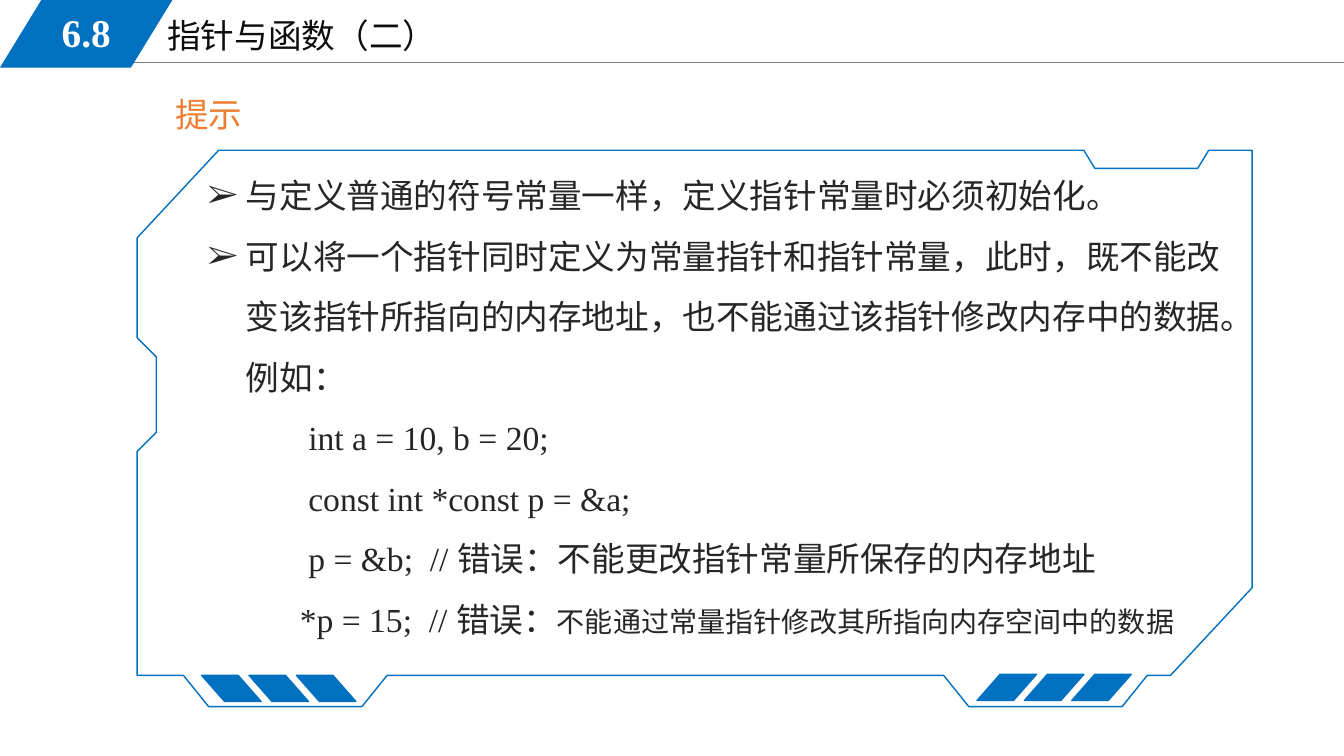
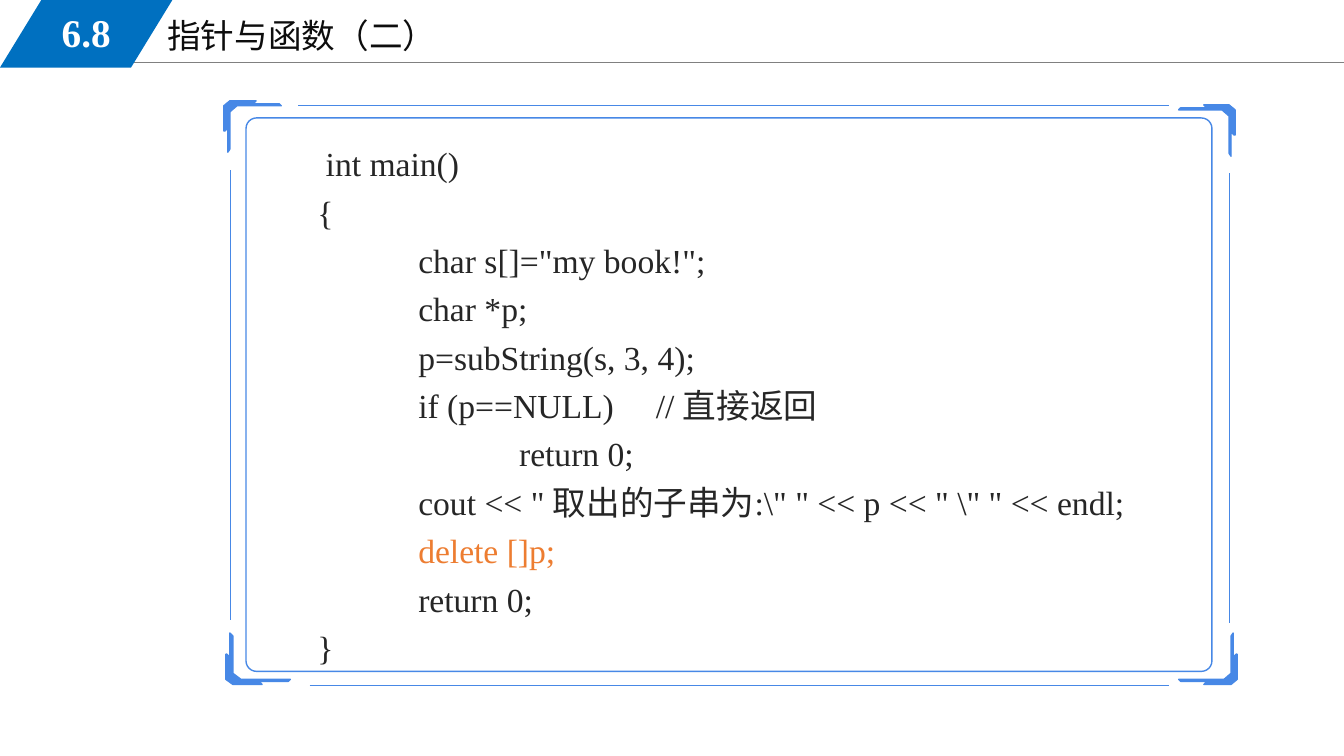
from lxml import etree
from pptx import Presentation
from pptx.dml.color import RGBColor as Rgb
from pptx.enum.shapes import MSO_CONNECTOR as Link, MSO_SHAPE as Shape
from pptx.enum.text import MSO_ANCHOR as Anchor, MSO_AUTO_SIZE as Auto, PP_ALIGN as Align
from pptx.oxml.ns import qn
from pptx.util import Inches, Pt

COLORS = {
    "blue": "0070C0", "sky": "4788E6", "gray": "808080", "white": "FFFFFF",
    "black": "0D0D0D", "ink": "262626", "orange": "ED7D31",
}
FONT = "Times New Roman"

# Outline of the tip panel, in inches
PANEL = [
    (9.61, 7.01), (11.13, 7.01), (11.38, 6.7), (11.61, 6.7), (12.42, 5.83),
    (12.42, 1.49), (11.99, 1.49), (11.88, 1.67), (10.86, 1.67), (10.75, 1.49),
    (2.17, 1.49), (1.36, 2.36), (1.36, 3.35), (1.55, 3.54), (1.55, 4.29),
    (1.36, 4.48), (1.36, 6.7), (1.82, 6.7), (2.07, 7.01), (3.59, 7.01),
    (3.84, 6.7), (9.36, 6.7),
]

# Top-left corner bracket, in inches from its own corner
BRACKET = [
    (0.06, 0), (0.32, 0), (0.29, 0.03), (0.55, 0.03), (0.57, 0.05),
    (0.13, 0.05), (0.06, 0.11), (0.06, 0.48), (0.04, 0.51), (0.04, 0.27),
    (0.01, 0.3), (0, 0.3), (0, 0.05),
]

TIPS = [
    "与定义普通的符号常量一样，定义指针常量时必须初始化。",
    "可以将一个指针同时定义为常量指针和指针常量，此时，既不能改变该指针所指向的内存地址，"
    "也不能通过该指针修改内存中的数据。例如：",
    "\tint a = 10, b = 20;",
    "\tconst int *const p = &a;",
    "\tp = &b;  // 错误：不能更改指针常量所保存的内存地址",
    "           *p = 15;  // 错误：",
]

CODE = r'''             int main()
	{
		char s[]="my book!";
		char *p;
		p=subString(s, 3, 4);
		if (p==NULL)     // 直接返回
			return 0;
		cout << " 取出的子串为:\" " << p << " \" " << endl;
		delete []p;
		return 0;
	}'''.split("\n")


class Deck:
    def __init__(self):
        self.prs = Presentation()
        self.prs.slide_width = Inches(13.33)
        self.prs.slide_height = Inches(7.5)
        self.slide = None

    def color(self, name):
        return Rgb.from_string(COLORS[name])

    def style(self, run, size, color, bold=False):
        run.font.name = FONT
        run.font.size = Pt(size)
        run.font.bold = bold
        run.font.color.rgb = self.color(color)

    def paint(self, shape, fill=None, line=None):
        shape.shadow.inherit = False
        if fill:
            shape.fill.solid()
            shape.fill.fore_color.rgb = self.color(fill)
        else:
            shape.fill.background()
        if line:
            shape.line.color.rgb = self.color(line)
            shape.line.width = Pt(1)
        else:
            shape.line.fill.background()

    def page(self, title, num):
        self.slide = self.prs.slides.add_slide(self.prs.slide_layouts[5])
        self.line(1.13, 0.62, 13.33, 0.62, "gray", 1)
        # Title
        head = self.slide.shapes.title
        head.left, head.top = Inches(1.56), Inches(0.1)
        head.width, head.height = Inches(5.67), Inches(0.5)
        frame = head.text_frame
        frame.text = title
        frame.auto_size = Auto.NONE
        frame.vertical_anchor = Anchor.TOP
        frame.paragraphs[0].alignment = Align.LEFT
        self.style(frame.paragraphs[0].runs[0], 24, "black")
        # Section number
        self.shape(Shape.PARALLELOGRAM, (0, 0, 1.71, 0.67), 0.612, "blue")
        frame = self.text((0.25, 0.03, 1.21, 0.58), [num], 28, "white", bold=True)
        frame.vertical_anchor = Anchor.MIDDLE
        frame.paragraphs[0].alignment = Align.CENTER

    def text(self, box, lines, size, color, gap=1.0, bold=False):
        frame = self.slide.shapes.add_textbox(*map(Inches, box)).text_frame
        frame.word_wrap = True
        frame.text = "\n".join(lines)
        for para in frame.paragraphs:
            para.line_spacing = gap
            if para.text.startswith("\t"):
                self.tabs(para)
            for run in para.runs:
                self.style(run, size, color, bold)
        return frame

    def tabs(self, para):
        # One stop an inch
        stops = etree.SubElement(para._p.get_or_add_pPr(), qn("a:tabLst"))
        for i in range(1, 4):
            etree.SubElement(stops, qn("a:tab"), pos=str(Inches(i)), algn="l")

    def bullet(self, para, mark, color):
        props = para._p.get_or_add_pPr()
        props.set("marL", str(Inches(0.38)))
        props.set("indent", str(-Inches(0.38)))
        tint = etree.SubElement(props, qn("a:buClr"))
        etree.SubElement(tint, qn("a:srgbClr")).set("val", COLORS[color])
        etree.SubElement(props, qn("a:buFont")).set("typeface", FONT)
        etree.SubElement(props, qn("a:buChar")).set("char", mark)

    def shape(self, kind, box, adj, fill=None, line=None, flip=False):
        item = self.slide.shapes.add_shape(kind, *map(Inches, box))
        item.adjustments[0] = adj
        if flip:
            item._element.spPr.find(qn("a:xfrm")).set("flipH", "1")
        self.paint(item, fill, line)

    def line(self, x1, y1, x2, y2, color, width):
        item = self.slide.shapes.add_connector(
            Link.STRAIGHT, *map(Inches, (x1, y1, x2, y2)))
        item.line.color.rgb = self.color(color)
        item.line.width = Pt(width)
        etree.SubElement(item._element.spPr, qn("a:effectLst"))

    def free(self, points, fill=None, line=None):
        # The builder works in whole units of 0.01 inch
        spots = [(round(x * 100), round(y * 100)) for x, y in points]
        pen = self.slide.shapes.build_freeform(*spots[0], scale=Inches(0.01))
        pen.add_line_segments(spots[1:], close=True)
        self.paint(pen.convert_to_shape(), fill, line)

    def corner(self, left, top, width, right=False, low=False):
        points = []
        for x, y in BRACKET:
            x *= width / 0.57
            points.append((left + (width - x if right else x),
                           top + (0.51 - y if low else y)))
        self.free(points, "sky", "sky")


def tips(deck):
    # Panel with hatch marks at the foot
    deck.free(PANEL, line="blue")
    for left, top, flip in ((9.69, 6.69, False), (2, 6.7, True)):
        for i in range(3):
            deck.shape(Shape.PARALLELOGRAM, (left + i * 0.47, top, 0.59, 0.26),
                       0.88, "blue", "blue", flip)
    # Heading and tips
    deck.text((1.64, 0.88, 5.99, 0.5), ["提示"], 24, "orange")
    paras = deck.text((1.96, 1.49, 10.37, 4.95), TIPS, 24, "ink", 1.5).paragraphs
    for para in paras[:2]:
        deck.bullet(para, "➢", "ink")
    note = paras[-1].add_run()
    note.text = "不能通过常量指针修改其所指向内存空间中的数据"
    deck.style(note, 20, "ink")


def code(deck):
    # Frame with corner brackets
    deck.shape(Shape.ROUNDED_RECTANGLE, (2.44, 1.17, 9.58, 5.49), 0.019, line="sky")
    deck.corner(2.22, 1, 0.57)
    deck.corner(11.69, 1.04, 0.56, right=True)
    deck.corner(2.24, 6.28, 0.64, low=True)
    deck.corner(11.69, 6.28, 0.58, right=True, low=True)
    for ends in ((2.96, 1.05, 11.59, 1.05), (3.07, 6.8, 11.59, 6.8),
                 (2.29, 1.69, 2.29, 6.15), (12.19, 1.72, 12.19, 6.18)):
        deck.line(*ends, "sky", 0.75)
    # Listing
    frame = deck.text((2.05, 1.29, 9.92, 5.94), CODE, 24, "ink", 1.2)
    for para in frame.paragraphs:
        if "delete" in para.text:
            deck.style(para.runs[0], 24, "orange")


def main():
    deck = Deck()
    for draw in (tips, code):
        deck.page("指针与函数（二）", "6.8")
        draw(deck)
    deck.prs.save("out.pptx")


if __name__ == "__main__":
    main()
